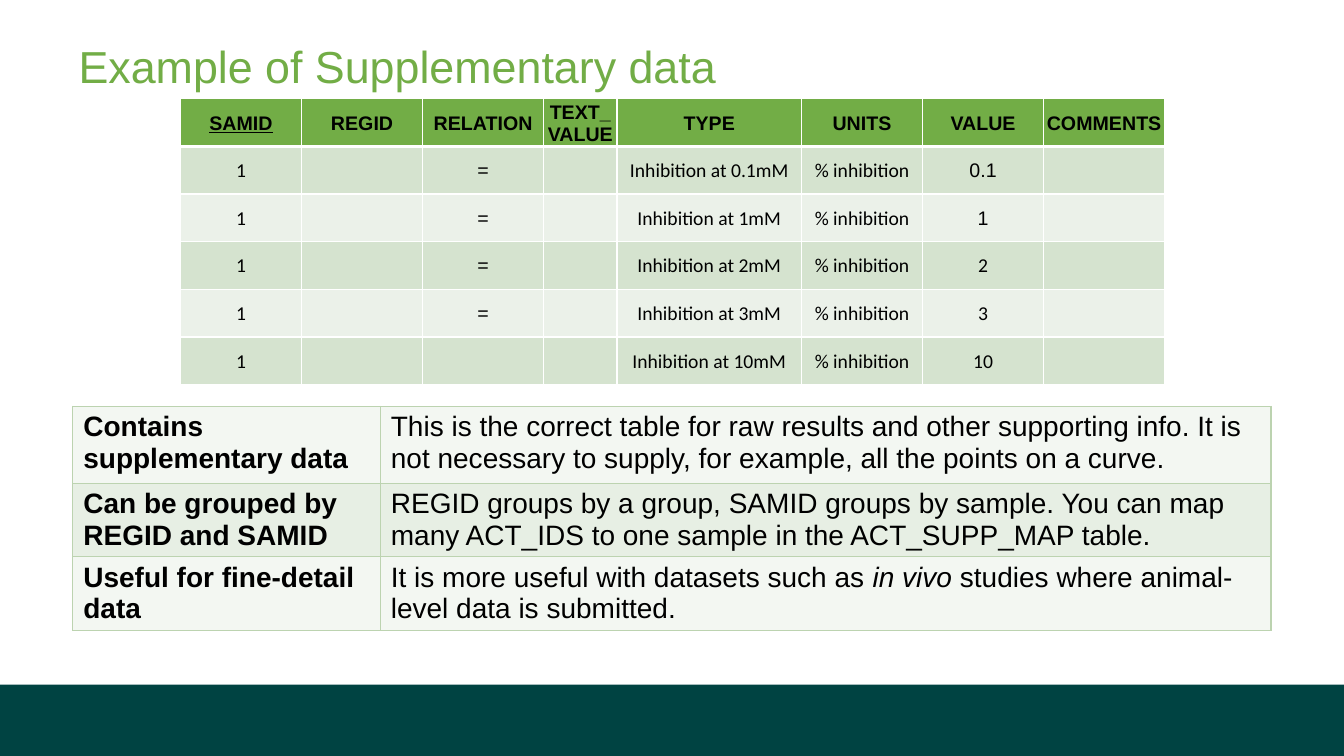
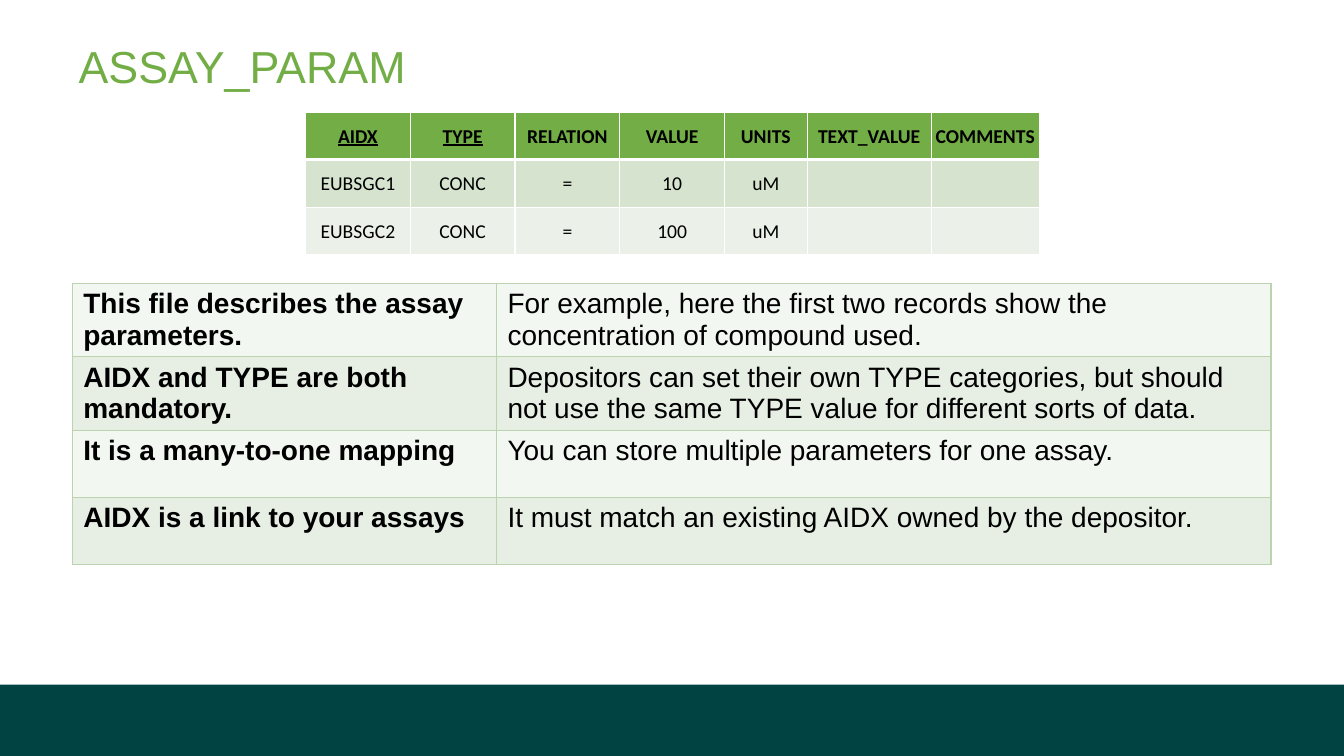
from lxml.etree import SubElement
from pptx import Presentation
from pptx.dml.color import RGBColor
from pptx.enum.shapes import MSO_SHAPE
from pptx.enum.text import MSO_ANCHOR, PP_ALIGN
from pptx.oxml.ns import qn
from pptx.util import Cm, Pt

WIDE, HIGH = 33.87, 19.05
GREEN, TEAL, BLACK, WHITE = "72AD46", "004342", "000000", "FFFFFF"
EDGE = "BCD3B0"
PALE = ("F3F7F2", "E7EFE4")
MID = ("D5E3CF", "EBF1E9")
TITLE = (1.98, 0.84, 30.2, 2.1)
BAND = (0, 17.25, WIDE, HIGH - 17.25)

HEAD = dict(name="Arial", size=Pt(32), bold=False)
NOTE = dict(name="Arial", size=Pt(20))
DATA = dict(name="Calibri", size=Pt(14))
SNUG = dict(margin_left=Cm(0.03), margin_right=Cm(0.03), margin_top=Cm(0.03),
            margin_bottom=0, vertical_anchor=MSO_ANCHOR.MIDDLE)
LOOSE = dict(margin_left=Cm(0.27), margin_right=Cm(0.27), margin_top=Cm(0.13),
             margin_bottom=Cm(0.13), vertical_anchor=MSO_ANCHOR.TOP)


def rgb(code):
    return RGBColor.from_string(code)


def style(item, form):
    for key, value in form.items():
        setattr(item, key, value)


def write(para, text, form, color=BLACK):
    """Add text to a paragraph; parts between asterisks are italic."""
    for i, part in enumerate(text.split("*")):
        if part:
            run = para.add_run()
            run.text = part
            style(run.font, {**form, "italic": i % 2 == 1})
            run.font.color.rgb = rgb(color)


def paint(item, color):
    item.fill.solid()
    item.fill.fore_color.rgb = rgb(color)


def border(cell, color, top=1, bottom=1):
    props = cell._tc.get_or_add_tcPr()
    sides = (("L", 1), ("R", 1), ("T", top), ("B", bottom))
    for i, (side, width) in enumerate(sides):
        line = SubElement(props, qn("a:ln" + side), w=str(Pt(width)))
        fill = SubElement(line, qn("a:solidFill"))
        SubElement(fill, qn("a:srgbClr"), val=color)
        props.insert(i, line)


def grid(slide, spot, cols, rows):
    """Add an unbanded table with the given column widths and row heights."""
    box = (*spot, sum(cols), sum(rows))
    frame = slide.shapes.add_table(len(rows), len(cols), *map(Cm, box))
    table = frame.table
    style(table, dict(first_row=False, horz_banding=False))
    for col, width in zip(table.columns, cols):
        col.width = Cm(width)
    for row, height in zip(table.rows, rows):
        row.height = Cm(height)
    return table


def records(slide, spot, cols, rows, keys, face="Calibri", arial=()):
    """Draw sample records; the first `keys` headings are underlined."""
    table = grid(slide, spot, cols, [1.2] * len(rows))
    for r, row in enumerate(rows):
        for c, text in enumerate(row):
            cell = table.cell(r, c)
            style(cell, SNUG)
            paint(cell, MID[(r - 1) % 2] if r else GREEN)
            border(cell, WHITE, top=3 if r == 1 else 1, bottom=1 if r else 3)
            form = {**DATA, "bold": r == 0, "underline": r == 0 and c < keys}
            if r == 0:
                form["name"] = face
            elif (r, c) in arial:
                form["name"] = "Arial"
            para = cell.text_frame.paragraphs[0]
            para.alignment = PP_ALIGN.CENTER
            write(para, text, form)


def notes(slide, spot, cols, highs, rows):
    """Draw the table of bold points and their explanations."""
    table = grid(slide, spot, cols, highs)
    for r, row in enumerate(rows):
        for c, text in enumerate(row):
            cell = table.cell(r, c)
            style(cell, LOOSE)
            paint(cell, PALE[r % 2])
            border(cell, EDGE)
            write(cell.text_frame.paragraphs[0], text, {**NOTE, "bold": c == 0})


def base(deck, text):
    """Add a slide with its title and bottom band."""
    slide = deck.slides.add_slide(deck.slide_layouts[5])
    band = slide.shapes.add_shape(MSO_SHAPE.RECTANGLE, *map(Cm, BAND))
    band.shadow.inherit = False
    paint(band, TEAL)
    band.line.fill.background()
    title = slide.shapes.title
    style(title, dict(zip(("left", "top", "width", "height"), map(Cm, TITLE))))
    style(title.text_frame, dict(
        margin_left=0, margin_right=0, margin_top=Cm(0.13), margin_bottom=0,
        vertical_anchor=MSO_ANCHOR.TOP, word_wrap=True))
    para = title.text_frame.paragraphs[0]
    para.alignment = PP_ALIGN.LEFT
    write(para, text, HEAD, GREEN)
    return slide


def extra(deck):
    slide = base(deck, "Example of Supplementary data")
    rows = [("SAMID", "REGID", "RELATION", "TEXT_VALUE", "TYPE", "UNITS",
             "VALUE", "COMMENTS")]
    for dose in ("0.1", "1", "2", "3", "10"):
        sign = "" if dose == "10" else "="
        rows.append(("1", "", sign, "", f"Inhibition at {dose}mM",
                     "% inhibition", dose, ""))
    arial = {(r, 2) for r in range(1, 5)} | {(1, 6), (2, 6)}
    records(slide, (4.55, 2.49), [3.05] * 3 + [1.85, 4.65] + [3.05] * 3,
            rows, keys=1, face="Arial", arial=arial)
    notes(slide, (1.83, 10.24), (7.75, 22.45), (1.94, 1.85, 1.85), [
        ("Contains supplementary data",
         "This is the correct table for raw results and other supporting info. "
         "It is not necessary to supply, for example, all the points on a curve."),
        ("Can be grouped by REGID and SAMID",
         "REGID groups by a group, SAMID groups by sample. You can map many "
         "ACT_IDS to one sample in the ACT_SUPP_MAP table."),
        ("Useful for fine-detail data",
         "It is more useful with datasets such as* in vivo *studies where "
         "animal-level data is submitted."),
    ])


def param(deck):
    slide = base(deck, "ASSAY_PARAM")
    rows = [
        ("AIDX", "TYPE", "RELATION", "VALUE", "UNITS", "TEXT_VALUE", "COMMENTS"),
        ("EUBSGC1", "CONC", "=", "10", "uM", "", ""),
        ("EUBSGC2", "CONC", "=", "100", "uM", "", ""),
    ]
    records(slide, (7.7, 2.82), [2.64] * 4 + [2.08, 3.13, 2.72], rows, keys=2)
    notes(slide, (1.83, 7.14), (10.69, 19.51), (1.85, 1.85, 1.69, 1.69), [
        ("This file describes the assay parameters.",
         "For example, here the first two records show the concentration of "
         "compound used."),
        ("AIDX and TYPE are both mandatory.",
         "Depositors can set their own TYPE categories, but should not use the "
         "same TYPE value for different sorts of data."),
        ("It is a many-to-one mapping",
         "You can store multiple parameters for one assay."),
        ("AIDX is a link to your assays",
         "It must match an existing AIDX owned by the depositor."),
    ])


def main():
    deck = Presentation()
    style(deck, dict(slide_width=Cm(WIDE), slide_height=Cm(HIGH)))
    extra(deck)
    param(deck)
    deck.save("out.pptx")


if __name__ == "__main__":
    main()
